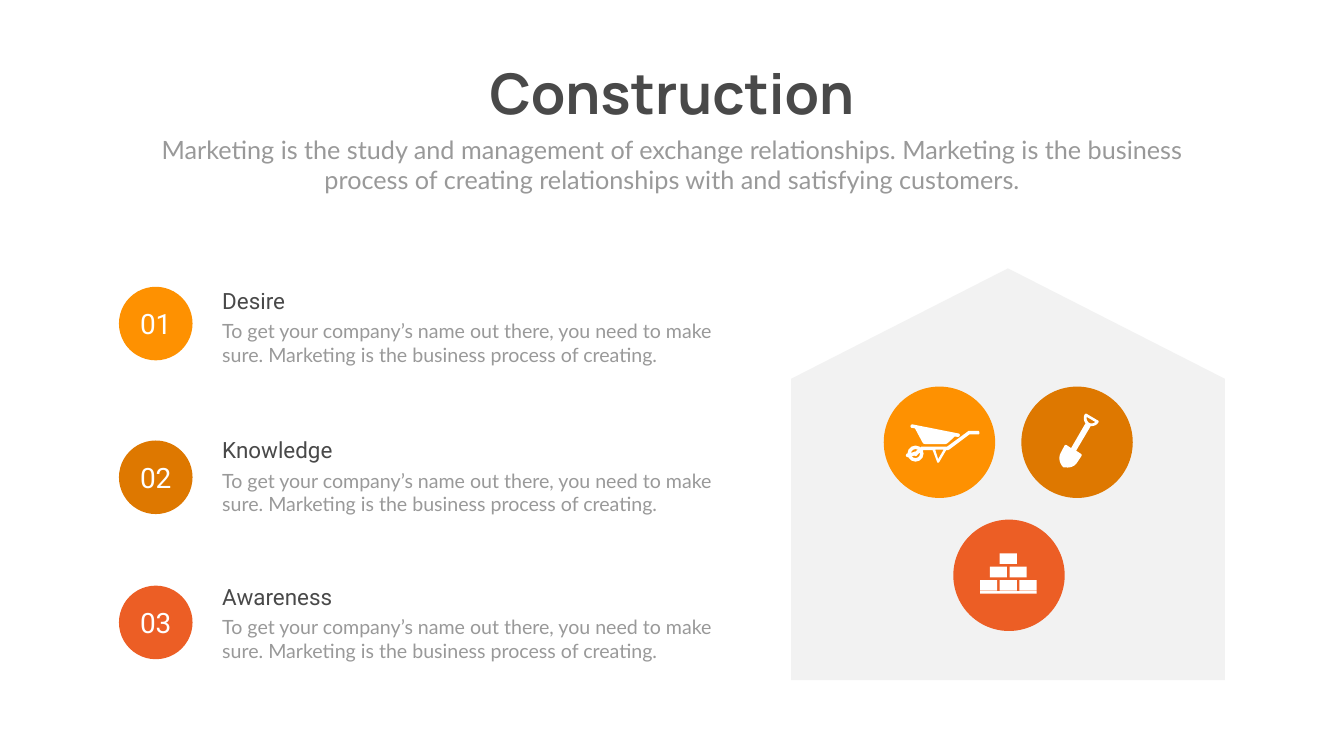
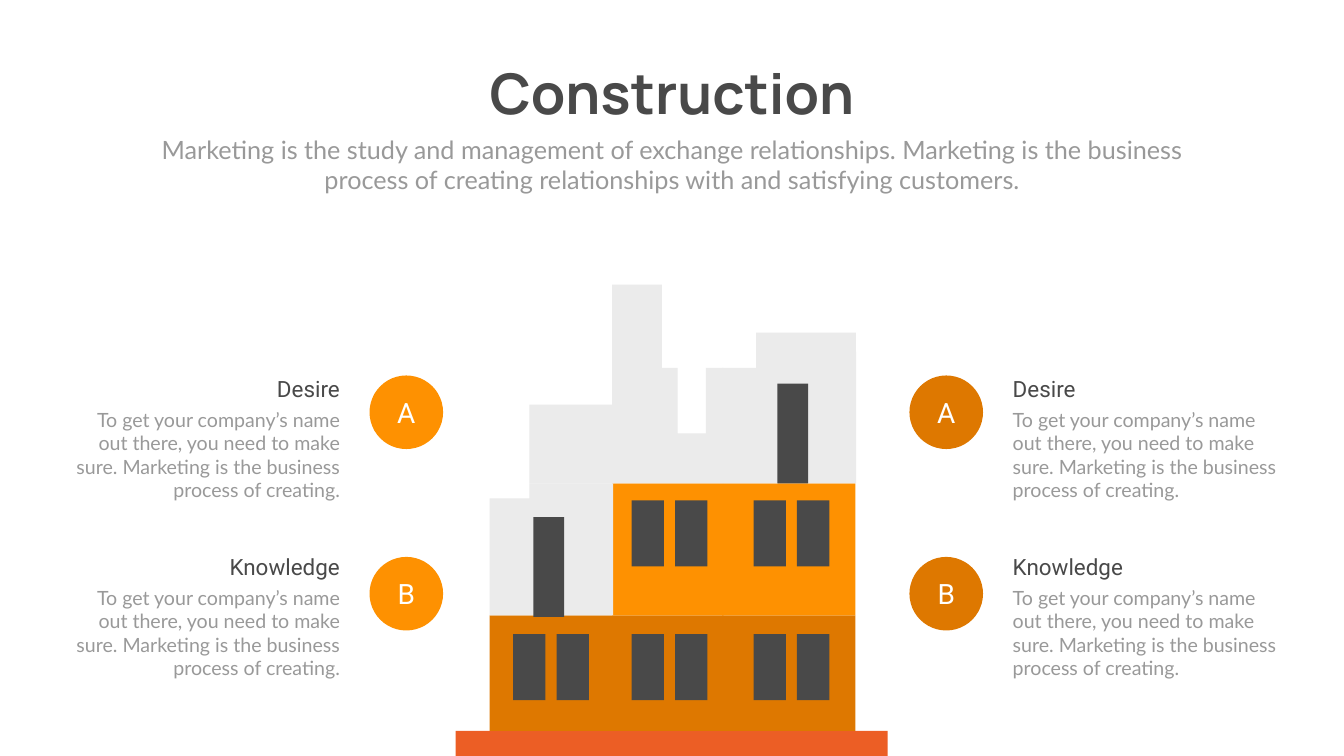
from math import cos, radians, sin

from pptx import Presentation
from pptx.dml.color import RGBColor
from pptx.enum.shapes import MSO_SHAPE
from pptx.enum.text import MSO_ANCHOR, MSO_AUTO_SIZE, PP_ALIGN
from pptx.util import Inches, Pt

LEFT, CENTER, RIGHT = PP_ALIGN.LEFT, PP_ALIGN.CENTER, PP_ALIGN.RIGHT
MIDDLE = MSO_ANCHOR.MIDDLE
GROW = MSO_AUTO_SIZE.SHAPE_TO_FIT_TEXT
RECTANGLE, OVAL = MSO_SHAPE.RECTANGLE, MSO_SHAPE.OVAL
DONUT, PENTAGON = MSO_SHAPE.DONUT, MSO_SHAPE.PENTAGON

AMBER, OCHRE, BRICK = "FE9101", "DE7800", "EC5E25"
DARK, GRAY, WHITE = "494949", "999999", "FFFFFF"
HOUSE_GRAY, WALL_GRAY = "F2F2F2", "EBEBEB"
TITLE_FONT, LABEL_FONT, BODY_FONT = "Manrope", "Roboto", "Lato"

TITLE = "Construction"
SUBTITLE = (
    "Marketing is the study and management of exchange relationships. "
    "Marketing is the business process of creating relationships with "
    "and satisfying customers."
)
DESCRIPTION = (
    "To get your company’s name out there, you need to make sure. "
    "Marketing is the business process of creating."
)

SHOVEL = (
    "M21.56,8.27 C21.55,8.32,21.57,8.36,21.61,8.39 C21.65,8.41,21.7,8.4,21.73,8.37 "
    "M21.56,8.21 L21.78,8.34 C21.8,8.35,21.8,8.36,21.79,8.38 "
    "C21.76,8.43,21.7,8.46,21.64,8.45 L21.35,8.94 L21.44,9 "
    "C21.46,9.01,21.46,9.02,21.46,9.04 L21.38,9.16 "
    "C21.33,9.25,21.23,9.29,21.13,9.27 L21.1,9.27 L21.07,9.24 "
    "C21.01,9.17,21,9.05,21.05,8.97 L21.12,8.84 "
    "C21.13,8.83,21.14,8.82,21.16,8.83 L21.25,8.89 L21.54,8.39 L21.53,8.39 "
    "C21.5,8.34,21.49,8.27,21.52,8.22 C21.53,8.21,21.55,8.2,21.56,8.21"
)
BARROW_FRAME = (
    "M19.4,8.55 L19.22,8.55 C19.21,8.55,19.21,8.55,19.2,8.56 L18.79,8.86 "
    "L18.3,8.86 L18.28,8.86 L18.16,8.96 C18.15,8.96,18.13,8.96,18.13,8.97 "
    "L18,9 C17.98,9,17.97,9.02,17.97,9.04 C17.97,9.05,17.99,9.07,18,9.07 "
    "L18.14,9.04 C18.15,9.05,18.15,9.05,18.16,9.05 "
    "C18.18,9.05,18.2,9.03,18.21,9.01 L18.32,8.93 L18.5,8.93 L18.59,9.17 "
    "C18.59,9.18,18.6,9.18,18.61,9.18 C18.62,9.18,18.62,9.18,18.63,9.17 "
    "L18.77,8.93 L18.81,8.93 C18.81,8.93,18.82,8.92,18.83,8.92 L19.23,8.62 "
    "L19.4,8.62 C19.42,8.62,19.43,8.61,19.43,8.59 C19.43,8.57,19.42,8.55,19.4,8.55 "
    "M18.61,9.11 L18.55,8.92 L18.72,8.92"
)
BARROW_TRAY = (
    "M19.01,8.6 L18.1,8.42 C18.08,8.42,18.07,8.43,18.06,8.45 "
    "C18.06,8.47,18.07,8.49,18.09,8.49 L18.15,8.5 L18.3,8.78 "
    "C18.31,8.8,18.33,8.81,18.35,8.81 L18.75,8.81 "
    "C18.77,8.81,18.79,8.8,18.81,8.78 L18.94,8.66 L19,8.67 "
    "C19.02,8.67,19.04,8.65,19.04,8.63 C19.04,8.62,19.03,8.6,19.01,8.6"
)
LOWER_WALL = (
    "M12.16,9.59 L12.16,12.21 L11.18,12.21 L11.18,10.29 L10.59,10.29 "
    "L10.59,12.21 L9.71,12.21 L9.71,9.89 L10.5,9.89 L10.5,9.59"
)
MIDDLE_WALL = (
    "M14.35,7.3 L14.35,9.59 L12.14,9.59 L12.14,6.98 L13.13,6.98 L13.13,7.3 "
    "L13.44,7.3 L13.44,8.6 L14,8.6 L14,7.3"
)
RIGHT_WALL = (
    "M16.98,6.98 L16.98,9.59 L16.02,9.59 L16.02,7.68 L15.43,7.68 L15.43,9.59 "
    "L14.33,9.59 L14.33,7.3 L15,7.3 L15,6.98"
)


def color(value):
    return RGBColor.from_string(value)


def trace(drawing, steps=6):
    contours = []
    for token in drawing.split():
        numbers = [float(number) for number in token[1:].split(",")]
        points = list(zip(numbers[::2], numbers[1::2]))
        if token[0] == "M":
            contours.append(points)
        elif token[0] == "L":
            contours[-1] += points
        else:
            corners = [contours[-1][-1], *points]
            for step in range(1, steps + 1):
                t = step / steps
                weights = ((1 - t) ** 3, 3 * t * (1 - t) ** 2, 3 * t * t * (1 - t), t**3)
                contours[-1].append(
                    tuple(sum(w * corner[axis] for w, corner in zip(weights, corners)) for axis in (0, 1))
                )
    return contours


def turn(contours, angle, center):
    cosine, sine = cos(radians(angle)), sin(radians(angle))
    middle_x, middle_y = center
    return [
        [
            (
                middle_x + (x - middle_x) * cosine - (y - middle_y) * sine,
                middle_y + (x - middle_x) * sine + (y - middle_y) * cosine,
            )
            for x, y in contour
        ]
        for contour in contours
    ]


def box(left, top, width, height):
    right, bottom = left + width, top + height
    return [(left, top), (right, top), (right, bottom), (left, bottom)]


def write(frame, text, *, size, font=LABEL_FONT, fill=DARK, align=LEFT, bold=False):
    paragraph = frame.paragraphs[0]
    paragraph.alignment = align
    run = paragraph.add_run()
    run.text = text
    run.font.size = Pt(size)
    run.font.name = font
    run.font.bold = bold
    run.font.color.rgb = color(fill)


class Deck:
    def __init__(self):
        self.presentation = Presentation()
        self.presentation.slide_width = Inches(26.66)
        self.presentation.slide_height = Inches(15)
        self.slide = None

    def new_slide(self):
        self.slide = self.presentation.slides.add_slide(self.presentation.slide_layouts[6])
        self.text(TITLE, 9.44, 1.12, 7.78, 1.45, wrap=False,
                  size=80, font=TITLE_FONT, align=CENTER, bold=True)
        self.text(SUBTITLE, 2.92, 2.61, 20.82, 1.31,
                  size=36, font=BODY_FONT, fill=GRAY, align=CENTER)

    def text(self, text, left, top, width, height, wrap=True, **style):
        shape = self.slide.shapes.add_textbox(*map(Inches, (left, top, width, height)))
        shape.text_frame.word_wrap = wrap
        shape.text_frame.auto_size = GROW
        write(shape.text_frame, text, **style)

    def paint(self, shape, fill):
        shape.shadow.inherit = False
        shape.fill.solid()
        shape.fill.fore_color.rgb = color(fill)
        shape.line.fill.background()
        return shape

    def shape(self, kind, left, top, width, height, fill):
        shape = self.slide.shapes.add_shape(kind, *map(Inches, (left, top, width, height)))
        return self.paint(shape, fill)

    def outline(self, contours, fill):
        paths = [[(Inches(x), Inches(y)) for x, y in contour] for contour in contours]
        builder = self.slide.shapes.build_freeform(*paths[0][0], scale=1.0)
        for number, points in enumerate(paths):
            if number:
                builder.move_to(*points[0])
            builder.add_line_segments(points[1:], close=True)
        return self.paint(builder.convert_to_shape(), fill)

    def badge(self, label, left, top, fill):
        shape = self.shape(OVAL, left, top, 1.46, 1.46, fill)
        shape.text_frame.vertical_anchor = MIDDLE
        write(shape.text_frame, label, size=40, fill=WHITE, align=CENTER)

    def item(self, heading, left, top, width, height, align=LEFT):
        heading_left = left + width - 4.99 if align == RIGHT else left
        self.text(heading, heading_left, top, 4.99, 0.64, size=32, align=align)
        self.text(DESCRIPTION, left, top + 0.64, width, height,
                  size=28, font=BODY_FONT, fill=GRAY, align=align)


def draw_house(deck):
    house = deck.shape(PENTAGON, 15.91, 5.11, 8.17, 8.6, HOUSE_GRAY)
    house.rotation = 270
    house.adjustments[0] = 0.268
    for left, top, fill in ((17.53, 7.67, AMBER), (18.91, 10.31, BRICK), (20.26, 7.67, OCHRE)):
        deck.shape(OVAL, left, top, 2.21, 2.21, fill)

    upright = turn(trace(SHOVEL), -30, (21.39, 8.78))
    deck.outline(upright, WHITE).rotation = 30

    wheel = deck.shape(DONUT, 18, 8.84, 0.32, 0.32, WHITE)
    wheel.adjustments[0] = 0.22
    deck.outline(trace(BARROW_FRAME), WHITE)
    deck.outline(trace(BARROW_TRAY), WHITE)

    bricks = [
        box(19.83 - 0.195 * row + 0.39 * column, 10.98 + 0.265 * row, 0.34, 0.21)
        for row in range(3)
        for column in range(row + 1)
    ]
    deck.outline([box(19.44, 11.73, 1.12, 0.05), *bricks], WHITE)


def draw_building(deck):
    deck.shape(RECTANGLE, 9.04, 14.5, 8.57, 0.5, BRICK)
    bays = ((9.71, 2.45, 10.18), (12.14, 2.21, 12.53), (14.33, 2.64, 14.95))
    floors = ((12.21, 2.29, 12.58, OCHRE, bays), (9.59, 2.62, 9.93, AMBER, bays[1:]))
    for top, height, _, fill, floor_bays in floors:
        for left, width, _ in floor_bays:
            deck.shape(RECTANGLE, left, top, width, height, fill)
    for _, _, window_top, _, floor_bays in floors:
        for _, _, window_left in floor_bays:
            for offset in (0, 0.86):
                deck.shape(RECTANGLE, window_left + offset, window_top, 0.64, 1.31, DARK)

    for wall in (LOWER_WALL, MIDDLE_WALL, RIGHT_WALL):
        deck.outline(trace(wall), WALL_GRAY)
    for wall in ((10.5, 8.03, 1.67, 1.56), (15, 6.6, 1.98, 0.48), (12.14, 5.65, 0.99, 1.43)):
        deck.shape(RECTANGLE, *wall, WALL_GRAY)
    for left, top in ((10.58, 10.26), (15.42, 7.61)):
        deck.shape(RECTANGLE, left, top, 0.61, 1.98, DARK)


def house_slide(deck):
    deck.new_slide()
    draw_house(deck)
    steps = (
        ("01", "Desire", 5.64, 5.69, AMBER),
        ("02", "Knowledge", 8.61, 8.74, OCHRE),
        ("03", "Awareness", 11.52, 11.62, BRICK),
    )
    for number, heading, top, badge_top, fill in steps:
        deck.item(heading, 4.31, top, 9.93, 1.04)
        deck.badge(number, 2.36, badge_top, fill)


def building_slide(deck):
    deck.new_slide()
    draw_building(deck)
    sides = ((19.99, 18.04, OCHRE, LEFT), (1.35, 7.33, AMBER, RIGHT))
    rows = (("A", "Desire", 7.4, 7.45), ("B", "Knowledge", 10.93, 11.05))
    for left, badge_left, fill, align in sides:
        for letter, heading, top, badge_top in rows:
            deck.item(heading, left, top, 5.49, 1.99, align)
            deck.badge(letter, badge_left, badge_top, fill)


def main():
    deck = Deck()
    house_slide(deck)
    building_slide(deck)
    deck.presentation.save("out.pptx")


if __name__ == "__main__":
    main()
